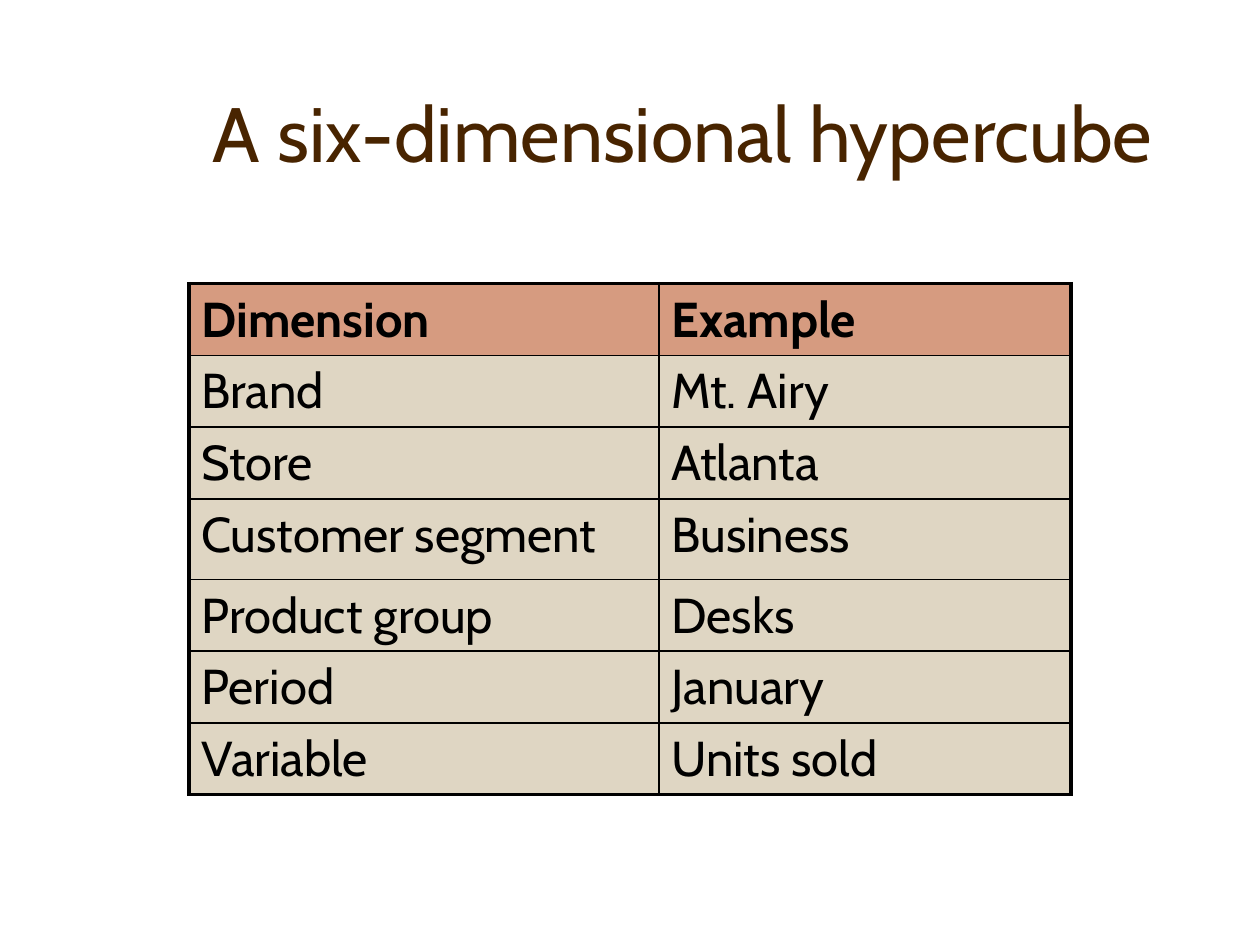
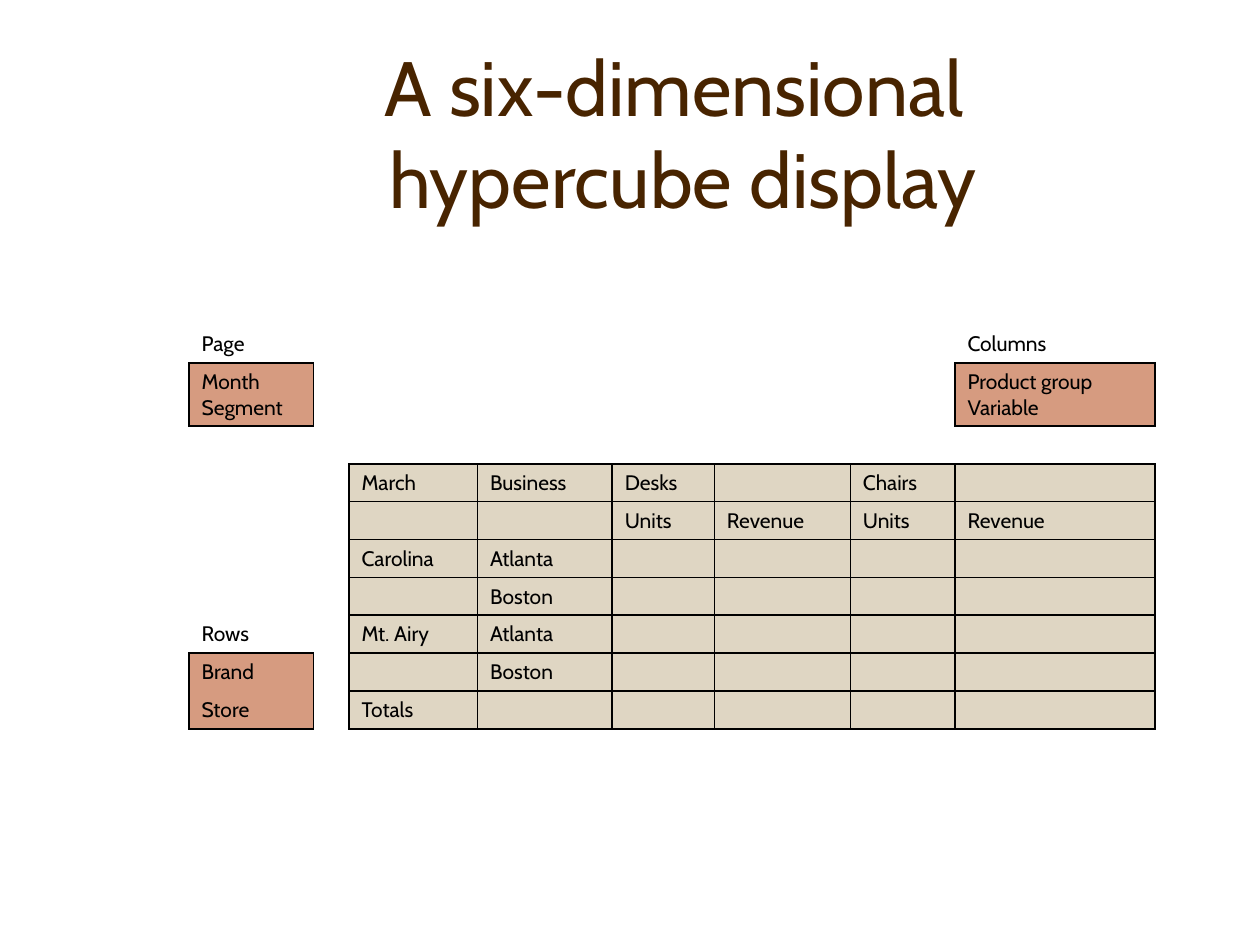
from dataclasses import dataclass

from lxml import etree
from pptx import Presentation
from pptx.dml.color import RGBColor
from pptx.enum.text import MSO_ANCHOR, PP_ALIGN
from pptx.oxml.ns import qn
from pptx.slide import Slide
from pptx.table import _Cell
from pptx.text.text import _Paragraph
from pptx.util import Emu, Pt

LEFT, CENTER, JUSTIFY = PP_ALIGN.LEFT, PP_ALIGN.CENTER, PP_ALIGN.JUSTIFY
MIDDLE = MSO_ANCHOR.MIDDLE
EMU_PER_PX = 9144  # 100 px to the inch
BLANK_LAYOUT = 6


@dataclass(frozen=True)
class Theme:
    font: str = "Cabin"
    title_color: str = "482400"
    ink: str = "000000"
    accent: str = "D69B80"
    sand: str = "DFD6C3"
    title_size: int = 44
    large_size: int = 28
    small_size: int = 12
    thin_line: float = 1
    thick_line: float = 2.25


THEME = Theme()


@dataclass(frozen=True)
class Zone:
    """A filled block of cells; the last row and column are included."""
    top: int
    left: int
    bottom: int
    right: int
    color: str


@dataclass(frozen=True)
class Grid:
    left: int
    top: int
    widths: tuple[int, ...]
    heights: tuple[int, ...]
    rows: tuple[tuple[str, ...], ...]
    zones: tuple[Zone, ...]
    size: int
    align: PP_ALIGN = LEFT
    frame_line: float = THEME.thin_line
    bold_header: bool = False

    def color_at(self, row: int, column: int) -> str | None:
        for zone in self.zones:
            if zone.top <= row <= zone.bottom and zone.left <= column <= zone.right:
                return zone.color
        return None

    def line_width(self, row: int, column: int, down: int, across: int) -> float:
        """Width of the edge towards a neighbour; zero where there is none."""
        own = self.color_at(row, column)
        near_row, near_column = row + down, column + across
        near = self.color_at(near_row, near_column)
        stacked_labels = down != 0 and own == near == THEME.accent
        if stacked_labels or not (own or near):
            return 0
        inside = 0 <= near_row < len(self.heights) and 0 <= near_column < len(self.widths)
        return THEME.thin_line if inside else self.frame_line


@dataclass(frozen=True)
class Page:
    title: str
    grid: Grid


# Edge tag -> step to the neighbouring row and column
EDGES = {"a:lnL": (0, -1), "a:lnR": (0, 1), "a:lnT": (-1, 0), "a:lnB": (1, 0)}

PAGES = (
    Page("A six-dimensional hypercube", Grid(
        left=150, top=225,
        widths=(373, 327),
        heights=(57, 57, 57, 64, 57, 57, 57),
        rows=(
            ("Dimension", "Example"),
            ("Brand", "Mt. Airy"),
            ("Store", "Atlanta"),
            ("Customer segment", "Business"),
            ("Product group", "Desks"),
            ("Period", "January"),
            ("Variable", "Units sold"),
        ),
        zones=(Zone(0, 0, 0, 1, THEME.accent), Zone(1, 0, 6, 1, THEME.sand)),
        size=THEME.large_size, align=JUSTIFY,
        frame_line=THEME.thick_line, bold_header=True,
    )),
    Page("A six-dimensional \vhypercube display", Grid(
        left=150, top=258,
        widths=(99, 28, 102, 107, 81, 108, 83, 159),
        heights=(30, 49) + (30,) * 8,
        rows=(
            ("Page", "", "", "", "", "", "", "Columns"),
            ("Month\vSegment", "", "", "", "", "", "", "Product group\vVariable"),
            (),
            ("", "", "March", "Business", "Desks", "", "Chairs", ""),
            ("", "", "", "", "Units", "Revenue", "Units", "Revenue"),
            ("", "", "Carolina", "Atlanta"),
            ("", "", "", "Boston"),
            ("Rows", "", "Mt. Airy", "Atlanta"),
            ("Brand", "", "", "Boston"),
            ("Store", "", "Totals"),
        ),
        zones=(
            Zone(1, 0, 1, 0, THEME.accent),
            Zone(1, 7, 1, 7, THEME.accent),
            Zone(8, 0, 9, 0, THEME.accent),
            Zone(3, 2, 9, 7, THEME.sand),
        ),
        size=THEME.small_size,
    )),
)


def px(length: int) -> Emu:
    return Emu(length * EMU_PER_PX)


def style_paragraph(para: _Paragraph, size: int, color: str,
                    align: PP_ALIGN, bold: bool = False) -> None:
    para.alignment = align
    para.font.name = THEME.font
    para.font.size = Pt(size)
    para.font.bold = bold
    para.font.color.rgb = RGBColor.from_string(color)


def add_title(slide: Slide, text: str) -> None:
    box = slide.shapes.add_textbox(px(117), px(42), px(850), px(125))
    frame = box.text_frame
    frame.word_wrap = True
    frame.vertical_anchor = MIDDLE
    frame.text = text
    style_paragraph(frame.paragraphs[0], THEME.title_size, THEME.title_color, CENTER)


def set_edge(cell: _Cell, tag: str, width: float) -> None:
    properties = cell._tc.get_or_add_tcPr()
    line = etree.SubElement(properties, qn(tag), w=str(int(Pt(width))))
    if width:
        fill = etree.SubElement(line, qn("a:solidFill"))
        etree.SubElement(fill, qn("a:srgbClr"), val=THEME.ink)
    else:
        etree.SubElement(line, qn("a:noFill"))


def fill_cell(cell: _Cell, grid: Grid, row: int, column: int) -> None:
    # Edges come before the fill in the cell properties
    for tag, (down, across) in EDGES.items():
        set_edge(cell, tag, grid.line_width(row, column, down, across))
    color = grid.color_at(row, column)
    if color:
        cell.fill.solid()
        cell.fill.fore_color.rgb = RGBColor.from_string(color)
    else:
        cell.fill.background()

    texts = grid.rows[row]
    text = texts[column] if column < len(texts) else ""
    cell.text_frame.text = text
    para = cell.text_frame.paragraphs[0]
    style_paragraph(para, grid.size, THEME.ink, grid.align, grid.bold_header and row == 0)
    if not text:  # keeps empty rows from growing
        etree.SubElement(para._p, qn("a:endParaRPr"), sz=str(grid.size * 100))


def add_grid(slide: Slide, grid: Grid) -> None:
    table = slide.shapes.add_table(
        len(grid.heights), len(grid.widths), px(grid.left), px(grid.top),
        px(sum(grid.widths)), px(sum(grid.heights))).table
    table.first_row = False
    table.horz_banding = False
    for column, width in enumerate(grid.widths):
        table.columns[column].width = px(width)
    for row, height in enumerate(grid.heights):
        table.rows[row].height = px(height)
        for column in range(len(grid.widths)):
            fill_cell(table.cell(row, column), grid, row, column)


def main() -> None:
    deck = Presentation()
    deck.slide_width, deck.slide_height = px(1000), px(750)
    for page in PAGES:
        slide = deck.slides.add_slide(deck.slide_layouts[BLANK_LAYOUT])
        add_title(slide, page.title)
        add_grid(slide, page.grid)
    deck.save("out.pptx")


if __name__ == "__main__":
    main()
